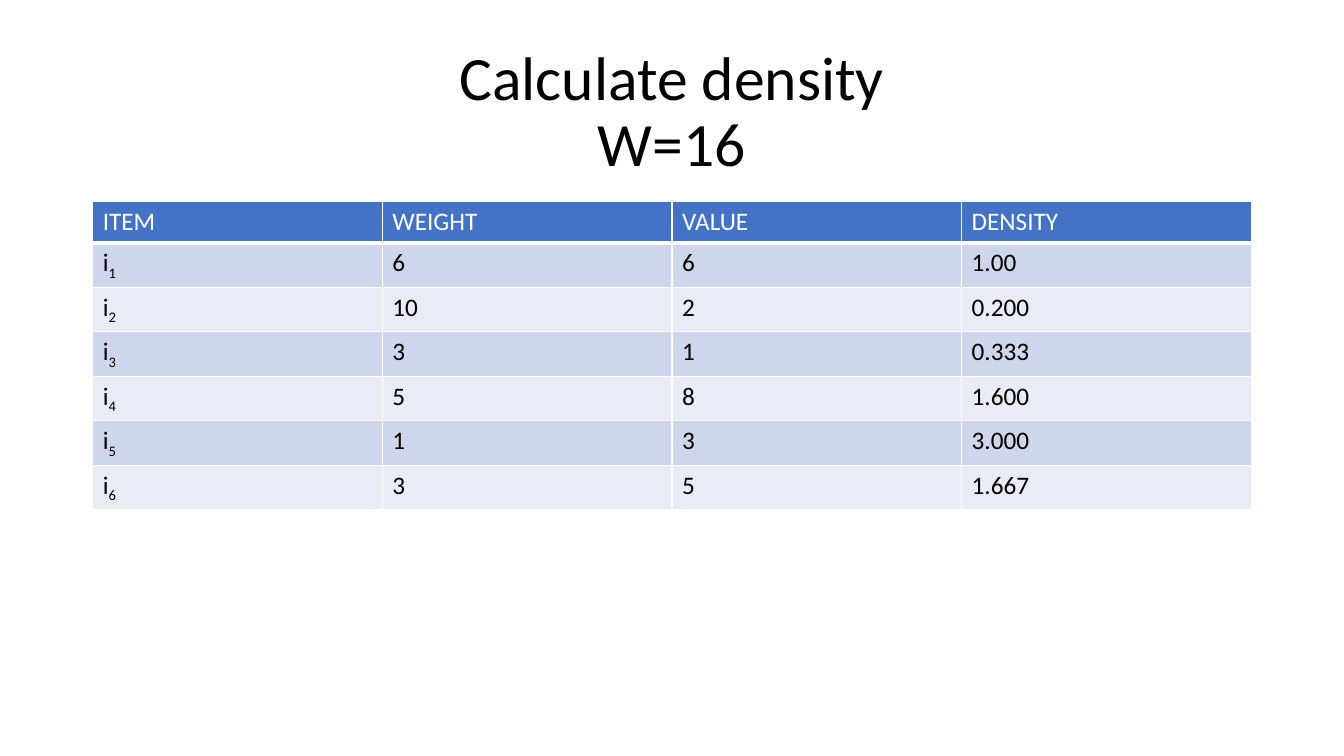
from dataclasses import dataclass

from lxml import etree
from pptx import Presentation
from pptx import util as u
from pptx.dml.color import RGBColor
from pptx.enum import text
from pptx.oxml.ns import qn


@dataclass(frozen=True)
class Theme:
    font: str = "Calibri"
    title_size: int = 44
    cell_size: int = 18
    ink: str = "000000"
    white: str = "FFFFFF"
    header: str = "4472C4"
    bands: tuple = ("CFD5EA", "E9EBF5")
    border: int = 1
    header_rule: int = 3


THEME = Theme()
SLIDE_WIDTH, SLIDE_HEIGHT = u.Inches(13.333), u.Inches(7.5)
MARGIN = u.Inches(0.92)
CONTENT_WIDTH = SLIDE_WIDTH - 2 * MARGIN
ROW_HEIGHT = u.Inches(0.41)

TITLE = ("Calculate density", "W=16")
HEADINGS = ("ITEM", "WEIGHT", "VALUE", "DENSITY")
ITEMS = (
    ("6", "6", "1.00"),
    ("10", "2", "0.200"),
    ("3", "1", "0.333"),
    ("5", "8", "1.600"),
    ("1", "3", "3.000"),
    ("3", "5", "1.667"),
)


def set_format(target, values):
    for name, value in values.items():
        setattr(target, name, value)


def add_run(paragraph, words, size, color, subscript=False):
    run = paragraph.add_run()
    run.text = words
    set_format(run.font, {"name": THEME.font, "size": u.Pt(size), "bold": False})
    run.font.color.rgb = RGBColor.from_string(color)
    if subscript:
        run.font._element.set("baseline", "-25000")


def add_title(slide, lines):
    box = slide.shapes.add_textbox(MARGIN, u.Inches(0.4), CONTENT_WIDTH, u.Inches(1.45))
    set_format(box.text_frame, {"word_wrap": True,
                                "vertical_anchor": text.MSO_ANCHOR.MIDDLE})
    paragraph = box.text_frame.paragraphs[0]
    set_format(paragraph, {"alignment": text.PP_ALIGN.CENTER, "line_spacing": 0.9})
    for index, line in enumerate(lines):
        if index:
            paragraph.add_line_break()
        add_run(paragraph, line, THEME.title_size, THEME.ink)


def set_borders(cell, bottom):
    properties = cell._tc.get_or_add_tcPr()
    for side in ("L", "R", "T", "B"):
        width = bottom if side == "B" else THEME.border
        line = etree.SubElement(properties, qn(f"a:ln{side}"), w=str(u.Pt(width)))
        fill = etree.SubElement(line, qn("a:solidFill"))
        etree.SubElement(fill, qn("a:srgbClr"), val=THEME.white)


def fill_cell(cell, words, color, background, bottom, subscript=""):
    set_borders(cell, bottom)
    cell.fill.solid()
    cell.fill.fore_color.rgb = RGBColor.from_string(background)
    paragraph = cell.text_frame.paragraphs[0]
    add_run(paragraph, words, THEME.cell_size, color)
    if subscript:
        add_run(paragraph, subscript, THEME.cell_size, color, subscript=True)


def add_density_table(slide):
    row_count = len(ITEMS) + 1
    table = slide.shapes.add_table(row_count, len(HEADINGS), MARGIN, u.Inches(2),
                                   CONTENT_WIDTH, ROW_HEIGHT * row_count).table
    # Header row
    for column, heading in enumerate(HEADINGS):
        fill_cell(table.cell(0, column), heading, THEME.white, THEME.header,
                  THEME.header_rule)
    # Banded item rows, numbered by subscript
    for row, values in enumerate(ITEMS, start=1):
        band = THEME.bands[(row - 1) % 2]
        fill_cell(table.cell(row, 0), "i", THEME.ink, band, THEME.border, str(row))
        for column, value in enumerate(values, start=1):
            fill_cell(table.cell(row, column), value, THEME.ink, band, THEME.border)


def main():
    presentation = Presentation()
    set_format(presentation, {"slide_width": SLIDE_WIDTH, "slide_height": SLIDE_HEIGHT})
    slide = presentation.slides.add_slide(presentation.slide_layouts[6])
    add_title(slide, TITLE)
    add_density_table(slide)
    presentation.save("out.pptx")


if __name__ == "__main__":
    main()
